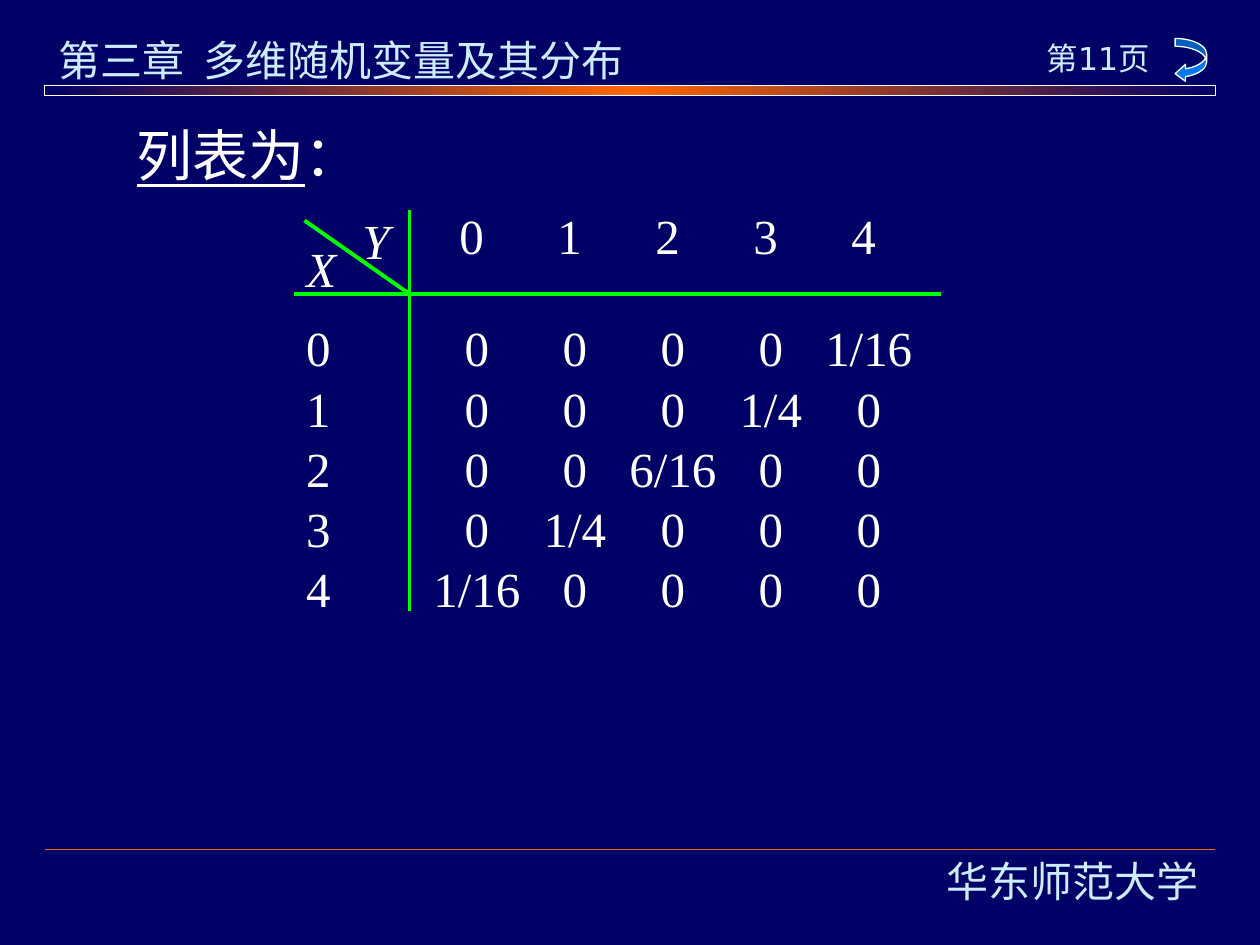
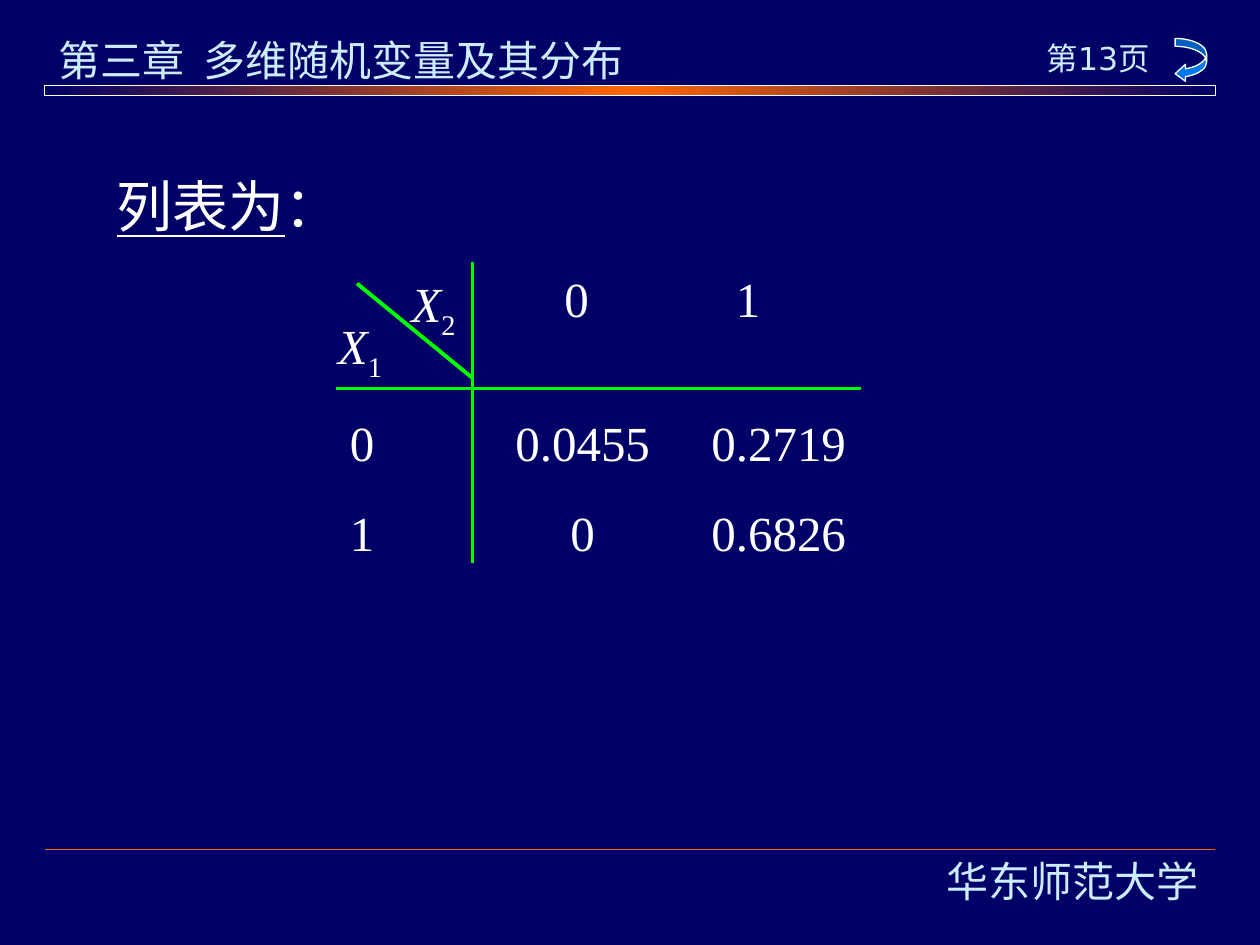
from copy import deepcopy

from lxml import etree
from pptx import Presentation
from pptx.dml.color import RGBColor
from pptx.enum import shapes, text
from pptx.oxml import ns
from pptx.util import Pt

COLORS = {
    "navy": "000066",
    "orange": "FF6600",
    "pale": "CCECFF",
    "white": "FFFFFF",
    "green": "00FF00",
    "blue": "0078F0",
}
RGB = {name: RGBColor.from_string(value) for name, value in COLORS.items()}
SERIF = "Times New Roman"
NO_STYLE = "{2D5ABB26-0587-4C30-8999-92F81FD0307C}"
LEFT, CENTER = text.PP_ALIGN.LEFT, text.PP_ALIGN.CENTER

# Each label is (left, top, letter, subscript); each rule is (x1, y1, x2, y2)
DISTRIBUTIONS = [
    {
        "page_label": "第11页",
        "heading": (71, 65.5),
        "labels": [(200, 117, "Y", ""), (168, 132.5, "X", "")],
        "rules": [(168, 168, 538, 168), (234, 120, 234, 349), (174, 126, 234, 168)],
        "table_at": (167, 120.5),
        "first_width": 77.5,
        "column_width": 56,
        "header_height": 62.5,
        "row_height": 34.4,
        "header_insets": [6] * 5,
        "rows": [
            ["", "0", "1", "2", "3", "4"],
            ["0", "0", "0", "0", "0", "1/16"],
            ["1", "0", "0", "0", "1/4", "0"],
            ["2", "0", "0", "6/16", "0", "0"],
            ["3", "0", "1/4", "0", "0", "0"],
            ["4", "1/16", "0", "0", "0", "0"],
        ],
    },
    {
        "page_label": "第13页",
        "heading": (59.5, 94.5),
        "labels": [(228, 153, "X", "2"), (186, 177, "X", "1")],
        "rules": [(192, 222, 492, 222), (270, 150, 270, 322), (204, 162, 270, 216)],
        "table_at": (192, 156.5),
        "first_width": 85,
        "column_width": 112,
        "header_height": 72,
        "row_height": 51.4,
        "header_insets": [7, 35],
        "rows": [
            ["", "0", "1"],
            ["0", "0.0455", "0.2719"],
            ["1", "0", "0.6826"],
        ],
    },
]


def add_text(page, left, top, width, spans, size, font, color, align=LEFT):
    """Add a one-line text box and return its paragraph."""
    box = page.shapes.add_textbox(Pt(left), Pt(top), Pt(width), Pt(size * 1.15 + 7.2))
    box.text_frame.word_wrap = True
    para = box.text_frame.paragraphs[0]
    para.alignment = align
    for words in spans:
        para.add_run().text = words
    para.font.size = Pt(size)
    para.font.name = font
    para.font.color.rgb = RGB[color]
    return para


def add_rule(page, ends, color, weight):
    """Add a straight line without a shadow."""
    line = page.shapes.add_connector(
        shapes.MSO_CONNECTOR.STRAIGHT, *[Pt(value) for value in ends]
    )
    line.line.color.rgb = RGB[color]
    line.line.width = Pt(weight)
    etree.SubElement(line._element.spPr, ns.qn("a:effectLst"))


deck = Presentation()
deck.slide_width, deck.slide_height = Pt(720), Pt(540)

for dist in DISTRIBUTIONS:
    page = deck.slides.add_slide(deck.slide_layouts[6])
    page.background.fill.solid()
    page.background.fill.fore_color.rgb = RGB["navy"]

    # Chapter title, with a tab stop between number and name
    add_rule(page, (25.5, 485.5, 694.5, 485.5), "orange", 1)
    chapter = add_text(
        page, 26.5, 16, 360, ["第三章\t多维随机变量及其分布"], 24, "Comic Neue", "pale"
    )
    tabs = etree.Element(ns.qn("a:tabLst"))
    etree.SubElement(tabs, ns.qn("a:tab"), pos=str(Pt(83)), algn="l")
    chapter._p.get_or_add_pPr().insert(0, tabs)

    # Gradient band under the title
    band = page.shapes.add_shape(
        shapes.MSO_SHAPE.RECTANGLE, Pt(25.5), Pt(49), Pt(669), Pt(5.7)
    )
    band.fill.gradient()
    band.fill.gradient_angle = 0
    stop_list = band._element.spPr.find(".//" + ns.qn("a:gsLst"))
    stop_list.append(deepcopy(stop_list[0]))
    for stop, place, color in zip(
        band.fill.gradient_stops, (0, 0.5, 1), ("navy", "orange", "navy")
    ):
        stop.position = place
        stop.color.rgb = RGB[color]

    # Page number, return arrow and footer
    add_text(page, 583, 18.5, 89, [dist["page_label"]], 18, "DejaVu Sans", "pale", CENTER)
    arrow = page.shapes.add_shape(
        shapes.MSO_SHAPE.CURVED_LEFT_ARROW, Pt(671.5), Pt(22), Pt(18), Pt(25)
    )
    for index, ratio in enumerate((0.25, 0.54, 0.33)):
        arrow.adjustments[index] = ratio
    arrow.fill.solid()
    arrow.fill.fore_color.rgb = RGB["blue"]
    for shape in (band, arrow):
        shape.line.color.rgb = RGB["white"]
        shape.line.width = Pt(0.75)
        shape.shadow.inherit = False
    add_text(page, 523.5, 485.5, 179, ["华东师范大学"], 24, "Karla", "pale", CENTER)

    # Heading
    heading = add_text(page, *dist["heading"], 143, ["列表为", "："], 32, SERIF, "white")
    heading.runs[0].font.underline = True

    # Probability table
    rows = dist["rows"]
    columns = len(rows[0])
    left, top = dist["table_at"]
    width = dist["first_width"] + dist["column_width"] * (columns - 1)
    height = dist["header_height"] + dist["row_height"] * (len(rows) - 1)
    frame = page.shapes.add_table(
        len(rows), columns, Pt(left), Pt(top), Pt(width), Pt(height)
    )
    table = frame.table
    table.first_row = table.horz_banding = False
    table._tbl.tblPr.find(ns.qn("a:tableStyleId")).text = NO_STYLE
    for index, column in enumerate(table.columns):
        column.width = Pt(dist["column_width"] if index else dist["first_width"])
    for r, values in enumerate(rows):
        table.rows[r].height = Pt(dist["row_height"] if r else dist["header_height"])
        for c, value in enumerate(values):
            cell = table.cell(r, c)
            cell.text = value
            cell.fill.background()
            for side in ("a:lnB", "a:lnT", "a:lnR", "a:lnL"):
                border = etree.Element(ns.qn(side))
                etree.SubElement(border, ns.qn("a:noFill"))
                cell._tc.tcPr.insert(0, border)
            cell.margin_top = cell.margin_bottom = 0
            cell.margin_left = Pt(0 if c else 8)
            cell.margin_right = Pt(0 if r or not c else dist["header_insets"][c - 1])
            cell.vertical_anchor = (
                text.MSO_ANCHOR.MIDDLE if r else text.MSO_ANCHOR.TOP
            )
            para = cell.text_frame.paragraphs[0]
            para.alignment = CENTER if c else LEFT
            para.font.size = Pt(28)
            para.font.name = SERIF
            para.font.color.rgb = RGB["white"]

    # Variable names in the corner, and the table's rules
    for x, y, letter, subscript in dist["labels"]:
        spans = [letter, subscript] if subscript else [letter]
        label = add_text(page, x, y, 54, spans, 28, SERIF, "white")
        label.runs[0].font.italic = True
        for run in label.runs[1:]:
            run._r.get_or_add_rPr().set("baseline", "-25000")
    for ends in dist["rules"]:
        add_rule(page, ends, "green", 2.25)

deck.save("out.pptx")
